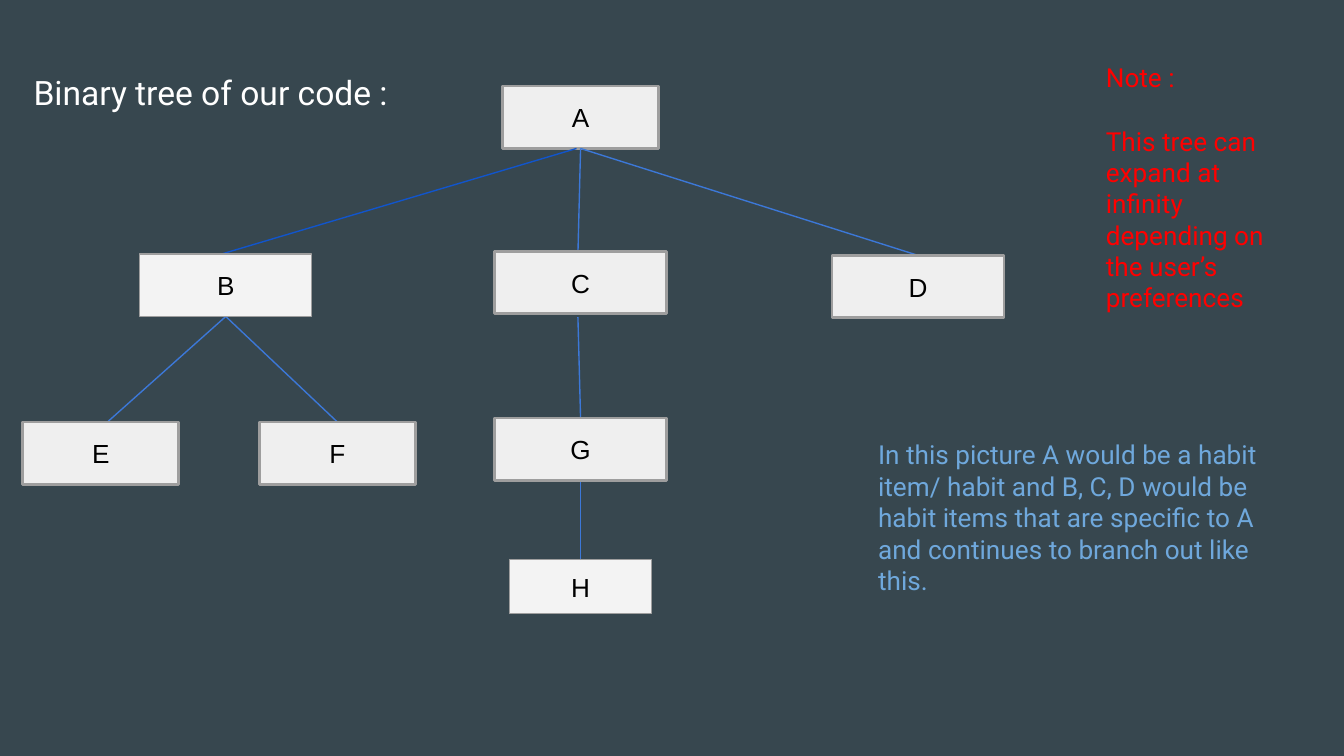
"""Build a slide with the binary tree of a habit tracker's code."""
from lxml import etree
from pptx import Presentation
from pptx.dml.color import RGBColor
from pptx.enum.shapes import MSO_CONNECTOR, MSO_SHAPE
from pptx.enum.text import MSO_ANCHOR, MSO_AUTO_SIZE, PP_ALIGN
from pptx.oxml.ns import qn
from pptx.util import Pt

PX = 4572
RECTANGLE = MSO_SHAPE.RECTANGLE
STRAIGHT = MSO_CONNECTOR.STRAIGHT
TOP, MIDDLE = MSO_ANCHOR.TOP, MSO_ANCHOR.MIDDLE
LEFT, CENTER = PP_ALIGN.LEFT, PP_ALIGN.CENTER
NO_FIT = MSO_AUTO_SIZE.NONE
TOP_SIDE, BOTTOM_SIDE = 0, 2


def color(value):
    return RGBColor.from_string(value)


def write(shape, paragraphs, font, size, ink, align=LEFT, anchor=TOP, gap=0):
    frame = shape.text_frame
    frame_format = {"word_wrap": True, "auto_size": NO_FIT, "vertical_anchor": anchor}
    for side in ("left", "top", "right", "bottom"):
        frame_format[f"margin_{side}"] = 20 * PX
    for name, value in frame_format.items():
        setattr(frame, name, value)
    for index, text in enumerate(paragraphs):
        para = frame.add_paragraph() if index else frame.paragraphs[0]
        para.alignment = align
        para.space_before = Pt(0)
        para.space_after = Pt(0 if index else gap)
        span = para.add_run()
        span.text = text
        for name, value in {"name": font, "size": Pt(size)}.items():
            setattr(span.font, name, value)
        span.font.color.rgb = color(ink)


deck = Presentation()
deck.slide_width, deck.slide_height = 2000 * PX, 1125 * PX
page = deck.slides.add_slide(deck.slide_layouts[5])
page.background.fill.solid()
page.background.fill.fore_color.rgb = color("37474F")

title = page.shapes.title
title_place = {"left": 30, "top": 87, "width": 1864, "height": 132}
for name, value in title_place.items():
    setattr(title, name, value * PX)
write(title, ["Binary tree of our code :"], "Roboto", 18, "FFFFFF")

HEAVY = ("EFEFEF", 1.5)
LIGHT = ("F3F3F3", 0.75)
nodes = {
    "A": (748, 128, 232, 93, HEAVY),
    "B": (208, 378, 256, 93, LIGHT),
    "C": (736, 374, 256, 93, HEAVY),
    "D": (1238, 380, 256, 93, HEAVY),
    "E": (34, 628, 232, 93, HEAVY),
    "F": (386, 628, 232, 93, HEAVY),
    "G": (736, 622, 256, 93, HEAVY),
    "H": (758, 833, 212, 80, LIGHT),
}
boxes = {}
for label, (left, top, width, height, (fill, weight)) in nodes.items():
    box = page.shapes.add_shape(RECTANGLE, left * PX, top * PX, width * PX, height * PX)
    box.shadow.inherit = False
    box.fill.solid()
    box.fill.fore_color.rgb = color(fill)
    box.line.color.rgb = color("9E9E9E")
    box.line.width = Pt(weight)
    write(box, [label], "Arial", 14, "000000", CENTER, MIDDLE)
    boxes[label] = box

branches = [
    (858, 221, 330, 378, None, None, "1155CC"),
    (864, 221, 860, 378, "A", None, "3C78D8"),
    (864, 221, 1366, 380, "A", "D", "3C78D8"),
    (336, 471, 160, 628, "B", None, "3C78D8"),
    (336, 471, 502, 628, "B", "F", "3C78D8"),
    (860, 472, 864, 622, None, "G", "3C78D8"),
    (864, 715, 864, 833, "G", "H", "3C78D8"),
]
for start_x, start_y, end_x, end_y, parent, child, ink in reversed(branches):
    branch = page.shapes.add_connector(
        STRAIGHT, start_x * PX, start_y * PX, end_x * PX, end_y * PX)
    if parent:
        branch.begin_connect(boxes[parent], BOTTOM_SIDE)
    if child:
        branch.end_connect(boxes[child], TOP_SIDE)
    branch.line.color.rgb = color(ink)
    branch.line.width = Pt(0.75)
    etree.SubElement(branch.element.spPr, qn("a:effectLst"))
    boxes["A"].element.addnext(branch.element)

remarks = [
    (1626, 72, 314, 420, "FF0000", 17,
     ["Note :", "This tree can expand at infinity depending on the user’s", "preferences"]),
    (1287, 633, 638, 444, "6FA8DC", 0,
     ["In this picture A would be a habit item/ habit and B, C, D would be habit items "
      "that are specific to A and continues to branch out like this."]),
]
for left, top, width, height, ink, gap, paragraphs in remarks:
    remark = page.shapes.add_textbox(left * PX, top * PX, width * PX, height * PX)
    write(remark, paragraphs, "Roboto", 14, ink, gap=gap)

deck.save("out.pptx")
